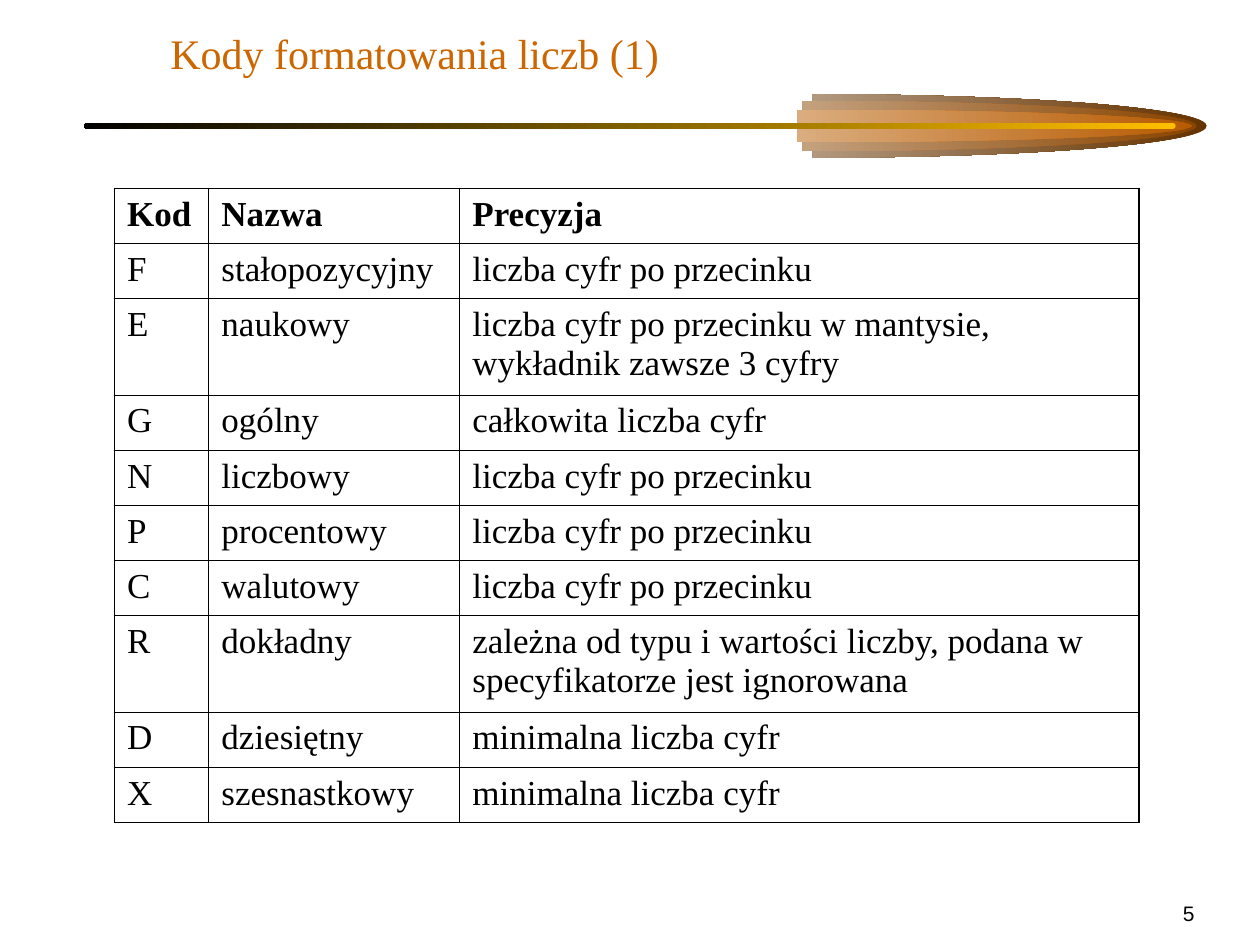
from dataclasses import dataclass

from lxml.etree import SubElement
from pptx import Presentation
from pptx.dml.color import RGBColor
from pptx.enum.shapes import MSO_SHAPE
from pptx.enum.text import MSO_ANCHOR, MSO_AUTO_SIZE, PP_ALIGN
from pptx.oxml.ns import qn
from pptx.util import Cm, Pt


@dataclass(frozen=True)
class Theme:
    serif: str = "Times New Roman"
    sans: str = "Arial"
    title: str = "CC6600"
    text: str = "000000"
    bar: tuple = ("FFBF00", "000000")
    comet: tuple = ("663300", "894400", "B75B00")
    comet_tail: str = "FFFFFF"
    title_size: int = 24
    table_size: int = 20
    number_size: int = 12
    outer_line: float = 1.08
    inner_line: float = 0.45


theme = Theme()


def style_run(r, font, size, color, bold=False):
    r.font.name = font
    r.font.size = Pt(size)
    r.font.bold = bold
    r.font.color.rgb = RGBColor.from_string(color)


def paint_gradient(s, colors):
    """Fill a shape from right to left, without line or shadow."""
    s.shadow.inherit = False
    s.line.fill.background()
    s.fill.gradient()
    s.fill.gradient_angle = 180
    for stop, color in zip(s.fill.gradient_stops, colors):
        stop.color.rgb = RGBColor.from_string(color)


prs = Presentation()
prs.slide_width, prs.slide_height = Cm(25.4), Cm(19.05)
slide = prs.slides.add_slide(prs.slide_layouts[5])
shapes = slide.shapes

# Comet: the right halves of three nested ellipses, as curves on a 2000 x 2000 grid
axis_y, width = 2.54, 15.9
comet_layers = ((8.43, 1.28), (8.23, 1.02), (8.13, 0.66))
half_ellipse = [
    ("moveTo", [(1000, 0)]),
    ("cubicBezTo", [(1358, 0), (1688, 191), (1866, 500)]),
    ("cubicBezTo", [(2045, 809), (2045, 1191), (1866, 1500)]),
    ("cubicBezTo", [(1688, 1809), (1358, 2000), (1000, 2000)]),
]
wedge = half_ellipse + [("lnTo", [(1000, 1000)]), ("close", [])]
for (left, height), color in zip(comet_layers, theme.comet):
    top = axis_y - height / 2
    builder = shapes.build_freeform(Cm(left), Cm(top))
    builder.add_line_segments([(Cm(left + width), Cm(top + height))])
    s = builder.convert_to_shape()
    path_list = s._element.spPr.find(qn("a:custGeom")).find(qn("a:pathLst"))
    path_list.clear()
    for segments, fill_mode in ((wedge, "norm"), (half_ellipse, "none")):
        outline = SubElement(path_list, qn("a:path"), w="2000", h="2000", fill=fill_mode)
        for kind, points in segments:
            segment = SubElement(outline, qn(f"a:{kind}"))
            for x, y in points:
                SubElement(segment, qn("a:pt"), x=str(x), y=str(y))
    paint_gradient(s, (color, theme.comet_tail))

bar = shapes.add_shape(MSO_SHAPE.ROUNDED_RECTANGLE, Cm(1.7), Cm(2.48), Cm(22), Cm(0.12))
bar.adjustments[0] = 0.5
paint_gradient(bar, theme.bar)

# Title
title = shapes.title
title.left, title.top, title.width, title.height = Cm(3.18), Cm(0.43), Cm(21.59), Cm(1.27)
tf = title.text_frame
tf.text = "Kody formatowania liczb (1)"
tf.auto_size = MSO_AUTO_SIZE.NONE
tf.vertical_anchor = MSO_ANCHOR.BOTTOM
p = tf.paragraphs[0]
p.alignment = PP_ALIGN.LEFT
style_run(p.runs[0], theme.serif, theme.title_size, theme.title)

# Table of format codes
rows = [
    ("Kod", "Nazwa", "Precyzja"),
    ("F", "stałopozycyjny", "liczba cyfr po przecinku"),
    ("E", "naukowy", "liczba cyfr po przecinku w mantysie, wykładnik zawsze 3 cyfry"),
    ("G", "ogólny", "całkowita liczba cyfr"),
    ("N", "liczbowy", "liczba cyfr po przecinku"),
    ("P", "procentowy", "liczba cyfr po przecinku"),
    ("C", "walutowy", "liczba cyfr po przecinku"),
    ("R", "dokładny",
     "zależna od typu i wartości liczby, podana w specyfikatorze jest ignorowana"),
    ("D", "dziesiętny", "minimalna liczba cyfr"),
    ("X", "szesnastkowy", "minimalna liczba cyfr"),
]
col_widths = (1.9, 5.06, 13.69)
two_line_rows = (2, 7)
row_heights = [1.95 if i in two_line_rows else 1.11 for i in range(len(rows))]
table = shapes.add_table(len(rows), len(col_widths), Cm(2.31), Cm(3.8),
                         Cm(sum(col_widths)), Cm(sum(row_heights))).table
table.first_row = table.horz_banding = False
for col, col_width in zip(table.columns, col_widths):
    col.width = Cm(col_width)

last_row, last_col = len(rows) - 1, len(col_widths) - 1
for i, row in enumerate(rows):
    table.rows[i].height = Cm(row_heights[i])
    for j, text in enumerate(row):
        cell = table.cell(i, j)
        cell.text_frame.text = text
        style_run(cell.text_frame.paragraphs[0].runs[0], theme.serif,
                  theme.table_size, theme.text, bold=i == 0)
        outer_sides = {"lnL": j == 0, "lnR": j == last_col,
                       "lnT": i == 0, "lnB": i == last_row}
        tc_pr = cell._tc.get_or_add_tcPr()
        for side, outer in outer_sides.items():
            line_width = Pt(theme.outer_line if outer else theme.inner_line)
            ln = SubElement(tc_pr, qn(f"a:{side}"), w=str(line_width))
            fill = SubElement(ln, qn("a:solidFill"))
            SubElement(fill, qn("a:srgbClr"), val=theme.text)
        cell.fill.background()

# Slide number
number = shapes.add_textbox(Cm(21.59), Cm(17.98), Cm(2.74), Cm(0.84))
tf = number.text_frame
tf.text = "5"
tf.word_wrap = True
tf.vertical_anchor = MSO_ANCHOR.MIDDLE
p = tf.paragraphs[0]
p.alignment = PP_ALIGN.RIGHT
style_run(p.runs[0], theme.sans, theme.number_size, theme.text)

prs.save("out.pptx")
